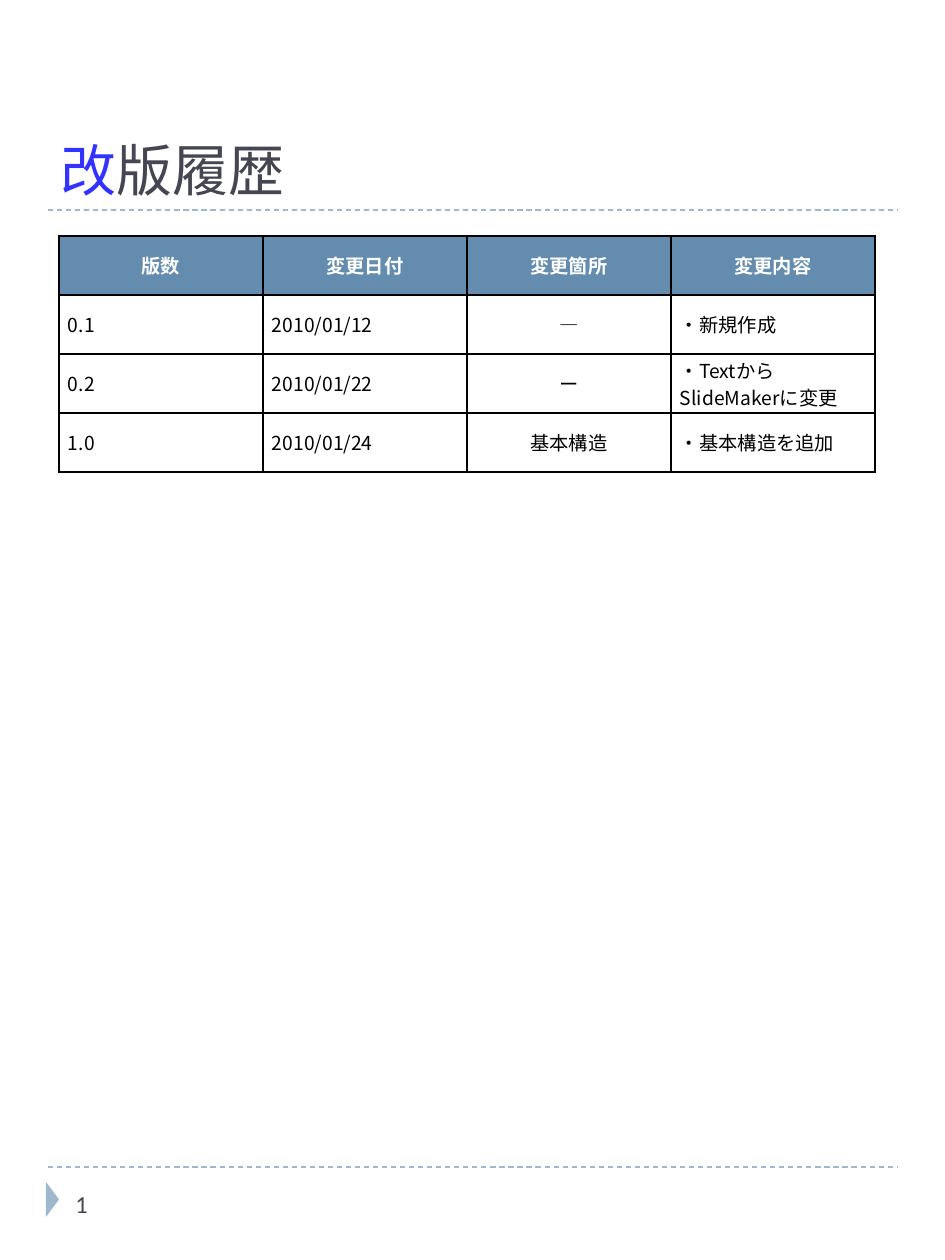
from lxml.etree import SubElement as Sub
from pptx import Presentation
from pptx.dml.color import RGBColor
from pptx.enum.dml import MSO_LINE
from pptx.enum.shapes import MSO_CONNECTOR, MSO_SHAPE
from pptx.enum.text import MSO_ANCHOR, PP_ALIGN
from pptx.oxml.ns import qn
from pptx.util import Emu, Pt

PX = 914400 // 126
COLORS = {"accent": "9FB8CD", "header": "638CAE", "blue": "3333FF",
          "dark": "464653", "white": "FFFFFF", "black": "000000"}
CJK = "Noto Sans CJK JP"
HEADERS = ["版数", "変更日付", "変更箇所", "変更内容"]
ROWS = [
    ["0.1", "2010/01/12", "―", "・新規作成"],
    ["0.2", "2010/01/22", "ー", "・TextからSlideMakerに変更"],
    ["1.0", "2010/01/24", "基本構造", "・基本構造を追加"],
]


def px(*values):
    return [Emu(v * PX) for v in values]


def rgb(name):
    return RGBColor.from_string(COLORS[name])


def add_run(p, text, color, **font):
    r = p.add_run()
    r.text = text
    for key, value in font.items():
        setattr(r.font, key, value)
    r.font.color.rgb = rgb(color)
    Sub(r.font._element, qn("a:ea"), typeface=CJK)


def add_title(s):
    sp = s.shapes.title
    sp.left, sp.top, sp.width, sp.height = px(48, 28, 850, 181)
    tf = sp.text_frame
    tf.vertical_anchor = MSO_ANCHOR.BOTTOM
    p = tf.paragraphs[0]
    p.alignment = PP_ALIGN.LEFT
    for text, color in (("改", "blue"), ("版履歴", "dark")):
        add_run(p, text, color, name="Roboto Slab", size=Pt(32))


def add_rule(s, y):
    line = s.shapes.add_connector(MSO_CONNECTOR.STRAIGHT, *px(48, y, 897, y))
    line.line.color.rgb = rgb("accent")
    line.line.width = Pt(0.75)
    line.line.dash_style = MSO_LINE.DASH
    Sub(line._element.spPr, qn("a:effectLst"))


def add_block(s, kind, box, color):
    sp = s.shapes.add_shape(kind, *px(*box))
    sp.shadow.inherit = False
    sp.fill.solid()
    sp.fill.fore_color.rgb = rgb(color)
    sp.line.fill.background()
    return sp


def add_page_number(s, number):
    add_block(s, MSO_SHAPE.ISOSCELES_TRIANGLE, (35, 1193, 35, 13), "accent").rotation = 90
    tf = add_block(s, MSO_SHAPE.RECTANGLE, (63, 1172, 204, 63), "white").text_frame
    tf.vertical_anchor = MSO_ANCHOR.MIDDLE
    p = tf.paragraphs[0]
    p.alignment = PP_ALIGN.LEFT
    add_run(p, number, "dark", name="Calibri", size=Pt(14))


def set_borders(cell, outer):
    tcPr = cell._tc.get_or_add_tcPr()
    for side in "LRTB":
        width = Pt(1.5 if outer[side] else 1)
        ln = Sub(tcPr, qn("a:ln" + side), w=str(width))
        Sub(Sub(ln, qn("a:solidFill")), qn("a:srgbClr"), val=COLORS["black"])


def fill_cell(cell, text, header, align):
    margin = Emu(9 * PX)
    layout = {"margin_left": margin, "margin_right": margin, "margin_top": 0,
              "margin_bottom": 0, "vertical_anchor": MSO_ANCHOR.MIDDLE}
    for key, value in layout.items():
        setattr(cell, key, value)
    if header:
        cell.fill.solid()
        cell.fill.fore_color.rgb = rgb("header")
    else:
        cell.fill.background()
    p = cell.text_frame.paragraphs[0]
    p.alignment = align
    add_run(p, text, "white" if header else "black", name=CJK, size=Pt(11), bold=header)


def add_history(s):
    data = [HEADERS] + ROWS
    last_row, last_col = len(data) - 1, len(HEADERS) - 1
    frame = s.shapes.add_table(len(data), len(HEADERS), *px(59, 236, 816, 236))
    for i, row in enumerate(data):
        for j, text in enumerate(row):
            cell = frame.table.cell(i, j)
            set_borders(cell, {"L": j == 0, "R": j == last_col,
                               "T": i == 0, "B": i == last_row})
            if i == 0 or j == 2:
                align = PP_ALIGN.CENTER
            else:
                align = PP_ALIGN.LEFT if j == last_col and i > 1 else PP_ALIGN.JUSTIFY
            fill_cell(cell, text, i == 0, align)


def main():
    prs = Presentation()
    prs.slide_width, prs.slide_height = px(945, 1260)
    s = prs.slides.add_slide(prs.slide_layouts[5])
    for y in (1167, 210):
        add_rule(s, y)
    add_title(s)
    add_page_number(s, "1")
    add_history(s)
    prs.save("out.pptx")


if __name__ == "__main__":
    main()
